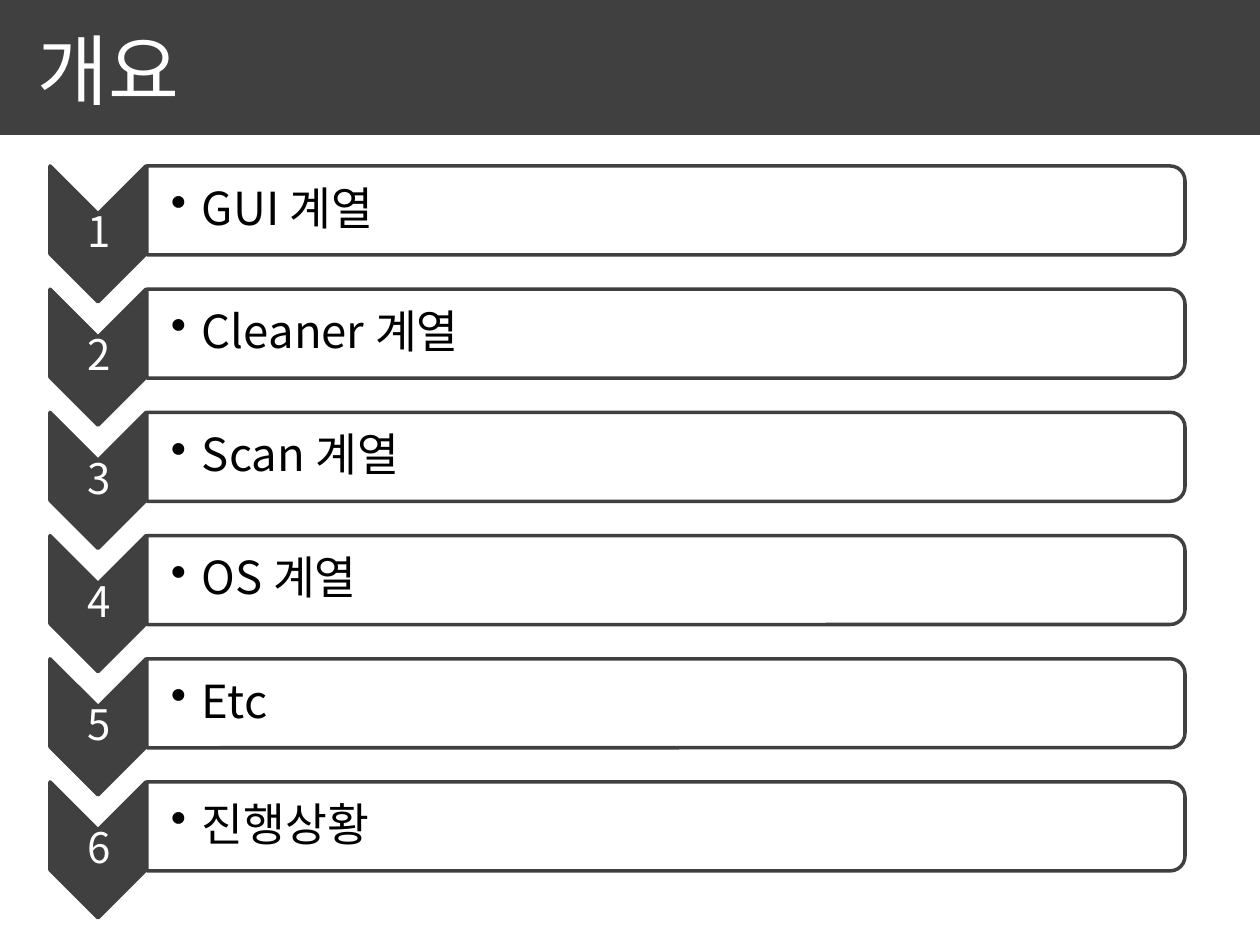
from lxml import etree
from pptx import Presentation
from pptx import util as u
from pptx.dml.color import RGBColor
from pptx.enum import shapes, text
from pptx.oxml.ns import qn

COLORS = {"dark": "404040", "light": "FFFFFF", "ink": "000000"}
FONT = "Noto Sans CJK KR"
TOPICS = ["GUI 계열", "Cleaner 계열", "Scan 계열", "OS 계열", "Etc", "진행상황"]


def px(length):
    return u.Emu(round(length * 914400 / 126))


def color(key):
    return RGBColor.from_string(COLORS[key])


def add_text(slide, box, words, size, ink, align=text.PP_ALIGN.LEFT,
             anchor=text.MSO_ANCHOR.TOP, insets=(13, 6, 13, 6),
             spacing=None, bullet_indent=0):
    frame = slide.shapes.add_textbox(*map(px, box)).text_frame
    frame.word_wrap = True
    frame.vertical_anchor = anchor
    (frame.margin_left, frame.margin_top,
     frame.margin_right, frame.margin_bottom) = map(px, insets)
    line = frame.paragraphs[0]
    line.alignment = align
    if spacing:
        line.line_spacing = spacing
    if bullet_indent:
        line.level = 1
        props = line._p.get_or_add_pPr()
        props.set("marL", str(px(bullet_indent)))
        props.set("indent", str(-px(bullet_indent)))
        etree.SubElement(props, qn("a:buChar")).set("char", "•")
    run = line.add_run()
    run.text = words
    run.font.size = u.Pt(size)
    run.font.color.rgb = color(ink)
    run.font.name = FONT
    etree.SubElement(run._r.get_or_add_rPr(), qn("a:ea")).set("typeface", FONT)


def add_block(slide, preset, box, fill, outlined=True, turned=False):
    left, top, width, height = box
    if turned:
        left, top = left + (width - height) / 2, top + (height - width) / 2
        width, height = height, width
    block = slide.shapes.add_shape(preset, *map(px, (left, top, width, height)))
    block.rotation = 90 if turned else 0
    block.shadow.inherit = False
    block.fill.solid()
    block.fill.fore_color.rgb = color(fill)
    if outlined:
        block.line.color.rgb = color("dark")
        block.line.width = u.Pt(2)
    else:
        block.line.fill.background()


def add_header(slide, box, title):
    left, top, width, height = box
    add_block(slide, shapes.MSO_SHAPE.RECTANGLE, box, "dark", outlined=False)
    add_text(slide, (left + 25, top + 16, 704, 106), title, 44, "light")


def add_topic(slide, box, number, topic):
    left, top, width, height = box
    arrow = 96
    panel = width - arrow - 1
    add_block(slide, shapes.MSO_SHAPE.CHEVRON, (left, top, arrow, height),
              "dark", turned=True)
    add_text(slide, (left + 1, top + 47, arrow, 42), str(number), 24, "light",
             align=text.PP_ALIGN.CENTER, anchor=text.MSO_ANCHOR.MIDDLE,
             insets=(2, 2, 2, 2), spacing=0.9)
    add_block(slide, shapes.MSO_SHAPE.ROUND_2_SAME_RECTANGLE,
              (left + arrow + 1, top, panel, 89), "light", turned=True)
    add_text(slide, (left + arrow, top + 4, panel - 4, 81), topic, 26, "ink",
             anchor=text.MSO_ANCHOR.MIDDLE, insets=(25, 2, 2, 2),
             spacing=0.9, bullet_indent=31)


def add_agenda(slide, box, topics):
    left, top, width, height = box
    row_height = 136
    pitch = (height - row_height) / (len(topics) - 1)
    for index, topic in enumerate(topics):
        row = (left, top + index * pitch, width, row_height)
        add_topic(slide, row, index + 1, topic)


def main():
    deck = Presentation()
    deck.slide_width, deck.slide_height = px(1260), px(945)
    slide = deck.slides.add_slide(deck.slide_layouts[6])
    add_header(slide, (0, 0, 1260, 135), "개요")
    add_agenda(slide, (50, 166, 1135, 752), TOPICS)
    deck.save("out.pptx")


if __name__ == "__main__":
    main()
